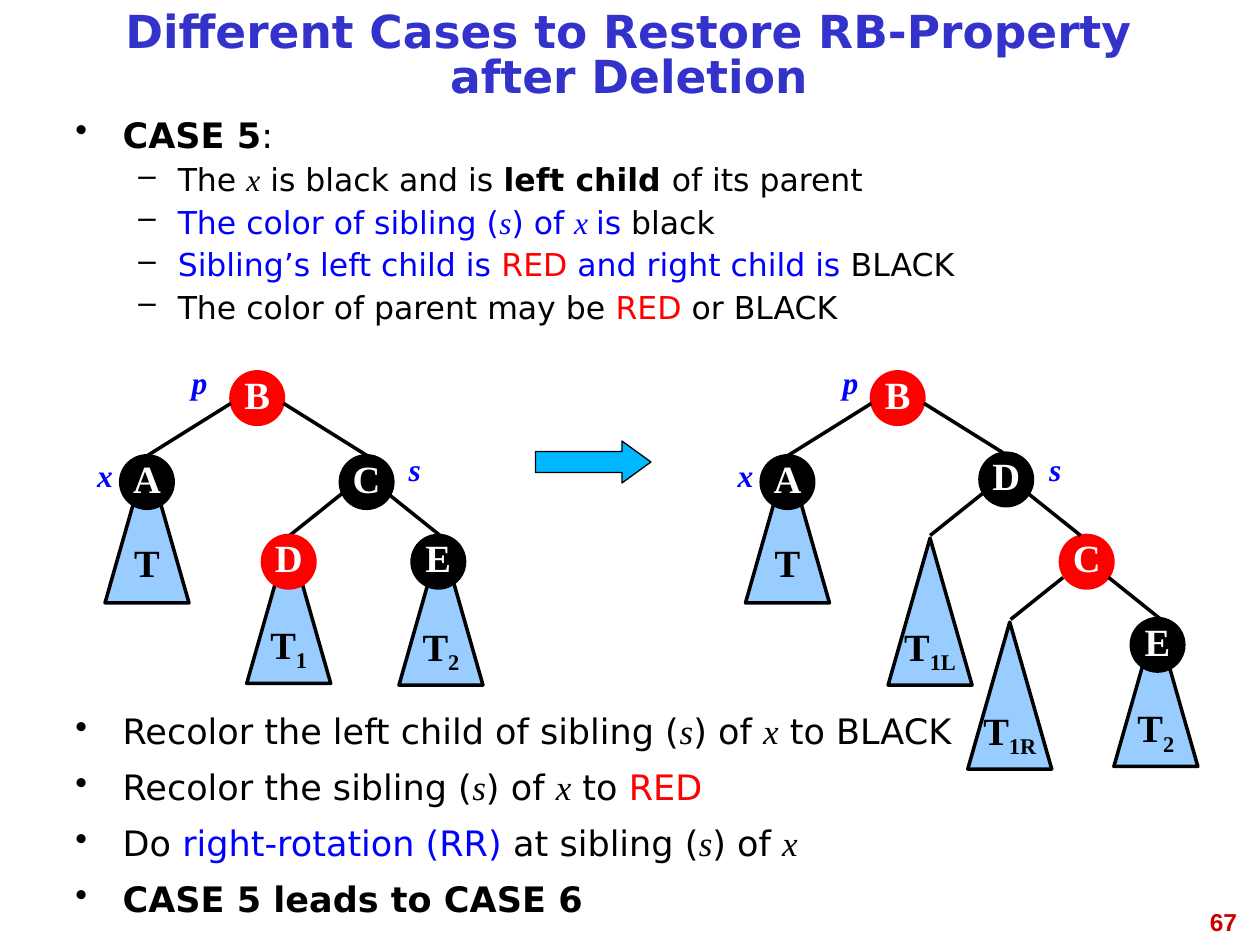
import lxml.etree
import pptx
import pptx.dml.color
import pptx.enum.shapes
import pptx.enum.text
import pptx.oxml
import pptx.oxml.ns
import pptx.util

Pt = pptx.util.Pt
Shape = pptx.enum.shapes.MSO_SHAPE
Align = pptx.enum.text.PP_ALIGN
Anchor = pptx.enum.text.MSO_ANCHOR
qn = pptx.oxml.ns.qn

BLACK, WHITE, RED, BLUE = "000000", "FFFFFF", "FF0000", "0000FF"
SANS, SERIF = "DejaVu Sans", "Times New Roman"


def color(hex_value):
    return pptx.dml.color.RGBColor.from_string(hex_value)


class TreeSlide:
    node_size = 30
    subtree_size = (48, 84)
    styles = {
        "plain": (SANS, BLACK, False, False),
        "bold": (SANS, BLACK, True, False),
        "blue": (SANS, BLUE, False, False),
        "red": (SANS, RED, False, False),
        "var": (SERIF, BLACK, False, True),
        "blue var": (SERIF, BLUE, False, True),
        "title": (SANS, "3333CC", True, False),
        "page": ("Arial", "CC0000", True, False),
        "label": (SERIF, BLUE, True, True),
        "node": (SERIF, WHITE, True, False),
        "subtree": (SERIF, BLACK, True, False),
    }

    def __init__(self, slide):
        self.slide = slide

    def run(self, paragraph, text, style, size, subscript=False):
        run = paragraph.add_run()
        run.text = text
        font = run.font
        font.name, rgb, font.bold, font.italic = self.styles[style]
        font.color.rgb = color(rgb)
        font.size = Pt(size)
        if subscript:
            run._r.get_or_add_rPr().set("baseline", "-25000")

    def box(self, left, top, width, height):
        frame = self.slide.shapes.add_textbox(
            Pt(left), Pt(top), Pt(width), Pt(height)).text_frame
        frame.word_wrap = True
        return frame

    def text(self, area, text, style, size, align=Align.CENTER, spacing=1.0, anchor=Anchor.TOP):
        frame = self.box(*area)
        frame.vertical_anchor = anchor
        paragraph = frame.paragraphs[0]
        paragraph.alignment = align
        paragraph.line_spacing = spacing
        self.run(paragraph, text, style, size)

    def bullets(self, area, items, spacing):
        frame = self.box(*area)
        for index, (level, runs) in enumerate(items):
            paragraph = frame.add_paragraph() if index else frame.paragraphs[0]
            paragraph.level = level
            paragraph.alignment = Align.JUSTIFY
            paragraph.line_spacing = spacing
            margin, hang, mark, size, before = [
                (27, 27, "•", 20, 8), (58.5, 22.5, "–", 18, 7)][level]
            paragraph.space_before = Pt(before if index else 0)
            properties = paragraph._p.get_or_add_pPr()
            properties.set("marL", str(Pt(margin)))
            properties.set("indent", str(-Pt(hang)))
            bullet_color = lxml.etree.SubElement(properties, qn("a:buClr"))
            lxml.etree.SubElement(bullet_color, qn("a:srgbClr")).set("val", BLACK)
            lxml.etree.SubElement(properties, qn("a:buChar")).set("char", mark)
            for text, style in runs:
                self.run(paragraph, text, style, size)

    def shape(self, kind, left, top, width, height, fill, line, weight=2):
        shape = self.slide.shapes.add_shape(kind, Pt(left), Pt(top), Pt(width), Pt(height))
        shape.shadow.inherit = False
        shape.fill.solid()
        shape.fill.fore_color.rgb = color(fill)
        shape.line.color.rgb = color(line)
        shape.line.width = Pt(weight)
        return shape

    def caption(self, shape, text, style, subscript=""):
        frame = shape.text_frame
        frame.word_wrap = False
        frame.vertical_anchor = Anchor.MIDDLE
        paragraph = frame.paragraphs[0]
        paragraph.alignment = Align.CENTER
        paragraph.line_spacing = 0.81
        self.run(paragraph, text, style, 22)
        if subscript:
            self.run(paragraph, subscript, style, 22, True)

    def node(self, key, center, top, fill=BLACK):
        size = self.node_size
        circle = self.shape(Shape.OVAL, center - size / 2, top, size, size, fill, fill)
        self.caption(circle, key, "node")

    def subtree(self, center, top, subscript=""):
        width, height = self.subtree_size
        triangle = self.shape(Shape.ISOSCELES_TRIANGLE, center - width / 2, top,
                              width, height, "99CCFF", BLACK)
        self.caption(triangle, "T", "subtree", subscript)

    def edge(self, x1, y1, x2, y2):
        line = self.slide.shapes.add_connector(
            pptx.enum.shapes.MSO_CONNECTOR.STRAIGHT, Pt(x1), Pt(y1), Pt(x2), Pt(y2))
        line.line.color.rgb = color(BLACK)
        line.line.width = Pt(2)
        lxml.etree.SubElement(line._element.spPr, qn("a:effectLst"))

    def branches(self, center, top):
        for side in (-1, 1):
            self.edge(center + 13 * side, top, center + 43 * side, top + 24)

    def upper_tree(self, left, label_left):
        self.node("B", left + 147, 212.5, RED)
        for side in (-1, 1):
            self.edge(left + 147 + 15 * side, 230.5, left + 147 + 63 * side, 260.5)
        self.subtree(left + 84, 260.5)
        self.node("A", left + 84, 260.5)
        for text, x, y, width in (("p", label_left, 204, 60),
                                  ("s", left + 216, 253.5, 42),
                                  ("x", left + 42, 257, 36)):
            self.text((x, y, width, 29), text, "label", 18)


def main():
    deck = pptx.Presentation()
    deck.slide_width, deck.slide_height = Pt(720), Pt(540)
    page = TreeSlide(deck.slides.add_slide(deck.slide_layouts[6]))

    page.text((546, 515, 168, 37), "67", "page", 14, Align.RIGHT)
    page.text((36, 6, 647, 54), "Different Cases to Restore RB-Property after Deletion",
              "title", 26, spacing=0.81, anchor=Anchor.MIDDLE)
    page.bullets((36, 66, 647, 138), [
        (0, [("CASE 5", "bold"), (":", "plain")]),
        (1, [("The ", "plain"), ("x", "var"), (" is black and is ", "plain"),
             ("left child ", "bold"), ("of its parent", "plain")]),
        (1, [("The color of sibling (", "blue"), ("s", "blue var"), (") of ", "blue"),
             ("x ", "blue var"), ("is ", "blue"), ("black", "plain")]),
        (1, [("Sibling’s left child is ", "blue"), ("RED", "red"),
             (" and right child is ", "blue"), ("BLACK", "plain")]),
        (1, [("The color of parent may be ", "plain"), ("RED", "red"),
             (" or BLACK", "plain")]),
    ], 0.8)
    sibling_of_x = [("s", "var"), (") of ", "plain"), ("x", "var")]
    page.bullets((36, 402, 647, 120), [
        (0, [("Recolor the left child of sibling (", "plain"), *sibling_of_x,
             (" to BLACK", "plain")]),
        (0, [("Recolor the sibling (", "plain"), *sibling_of_x,
             (" to ", "plain"), ("RED", "red")]),
        (0, [("Do ", "plain"), ("right-rotation (RR)", "blue"),
             (" at sibling (", "plain"), *sibling_of_x]),
        (0, [("CASE 5 leads to CASE 6", "bold")]),
    ], 1.0)

    page.upper_tree(0, 84)
    page.node("C", 209.5, 260.5)
    page.branches(208.5, 282)
    page.subtree(165, 306.5, "1")
    page.subtree(252, 307.5, "2")
    page.node("D", 165, 306, RED)
    page.node("E", 250.5, 306)

    arrow = page.shape(Shape.RIGHT_ARROW, 306, 252, 66, 24, "00B8FF", BLACK, 0.75)
    arrow.adjustments[1] = 0.69

    page.upper_tree(366, 456)
    page.node("C", 621, 306, RED)
    page.branches(574.5, 282)
    page.branches(620.5, 330)
    page.subtree(531.5, 307.5, "1L")
    page.subtree(660.5, 354, "2")
    page.node("D", 575, 259)
    page.node("E", 661.5, 353.5)
    page.subtree(577, 355.5, "1R")

    deck.save("out.pptx")


if __name__ == "__main__":
    main()
